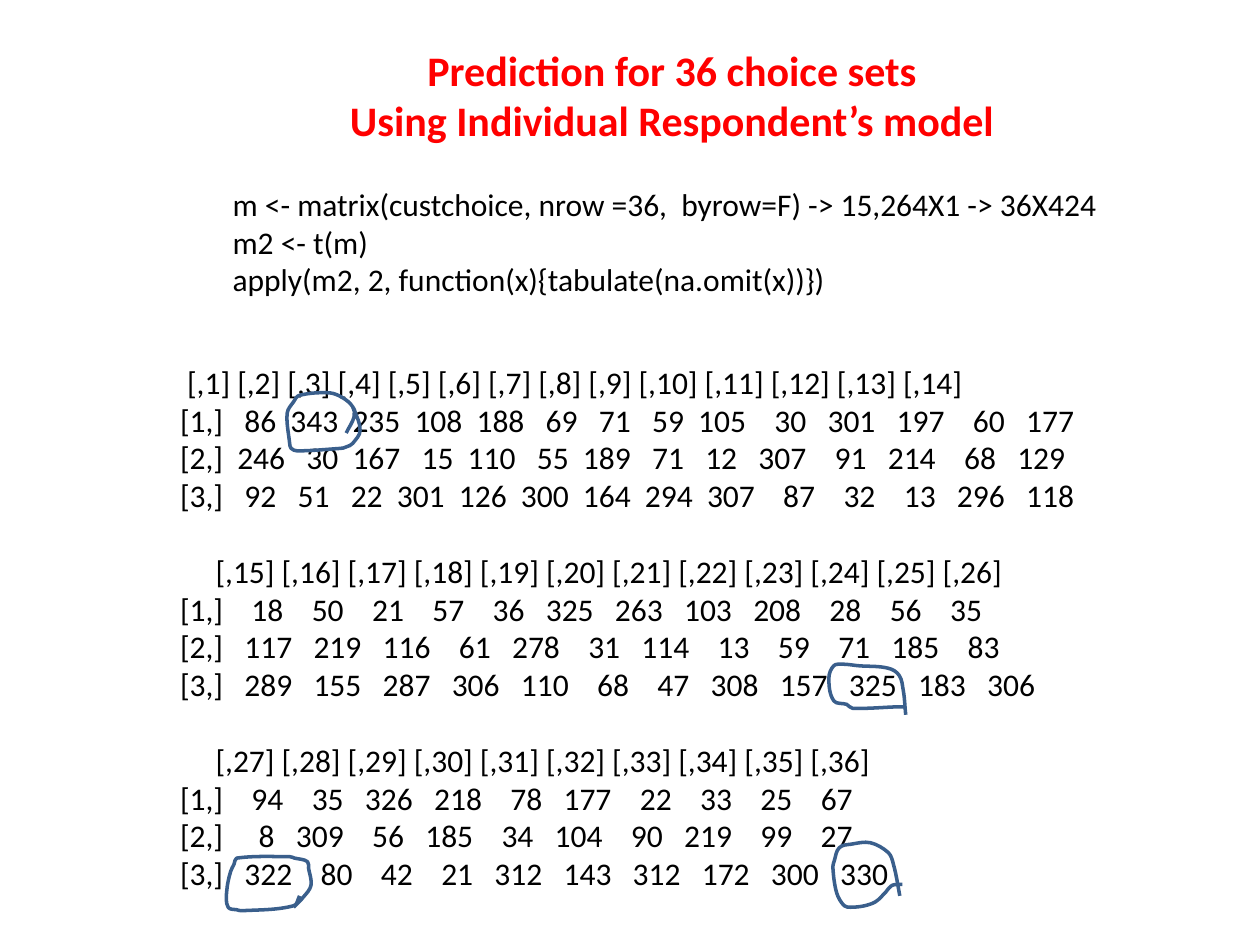
from dataclasses import dataclass
from math import hypot

from lxml import etree
from pptx import Presentation
from pptx.dml.color import RGBColor
from pptx.enum.text import MSO_ANCHOR, PP_ALIGN
from pptx.oxml.ns import qn
from pptx.util import Cm, Pt

CENTER, LEFT = PP_ALIGN.CENTER, PP_ALIGN.LEFT
TOP = MSO_ANCHOR.TOP
TITLE_ONLY = 5


@dataclass(frozen=True)
class Theme:
    font: str = "Calibri"
    title_color: RGBColor = RGBColor(0xFF, 0x00, 0x00)
    text_color: RGBColor = RGBColor(0x00, 0x00, 0x00)
    pen_color: RGBColor = RGBColor(0x3A, 0x5F, 0x8C)
    title_size: Pt = Pt(24)
    text_size: Pt = Pt(18)
    pen_width: Pt = Pt(2)
    block_gap: Pt = Pt(21.6)


THEME = Theme()
PEN_UNIT = Cm(0.01)

TITLE = ["Prediction for 36 choice sets", "Using Individual Respondent’s model"]
CODE = [
    "m <- matrix(custchoice, nrow =36,  byrow=F) -> 15,264X1 -> 36X424",
    "m2 <- t(m)",
    "apply(m2, 2, function(x){tabulate(na.omit(x))})",
]
COUNT_BLOCKS = [
    [
        " [,1] [,2] [,3] [,4] [,5] [,6] [,7] [,8] [,9] [,10] [,11] [,12] [,13] [,14]",
        "[1,]   86  343  235  108  188   69   71   59  105    30   301   197    60   177",
        "[2,]  246   30  167   15  110   55  189   71   12   307    91   214    68   129",
        "[3,]   92   51   22  301  126  300  164  294  307    87    32    13   296   118",
    ],
    [
        "     [,15] [,16] [,17] [,18] [,19] [,20] [,21] [,22] [,23] [,24] [,25] [,26]",
        "[1,]    18    50    21    57    36   325   263   103   208    28    56    35",
        "[2,]   117   219   116    61   278    31   114    13    59    71   185    83",
        "[3,]   289   155   287   306   110    68    47   308   157   325   183   306",
    ],
    [
        "     [,27] [,28] [,29] [,30] [,31] [,32] [,33] [,34] [,35] [,36]",
        "[1,]    94    35   326   218    78   177    22    33    25    67",
        "[2,]     8   309    56   185    34   104    90   219    99    27",
        "[3,]   322    80    42    21   312   143   312   172   300   330",
    ],
]
PEN_MARKS = [
    ((Cm(5.79), Cm(7.92)),
     [(119, 81), (135, 48), (132, 28), (112, 10), (86, 0), (25, 5), (13, 18), (0, 41), (5, 102),
      (8, 112), (20, 117), (107, 112), (119, 109), (132, 102), (147, 76), (135, 33), (132, 28)]),
    ((Cm(16.79), Cm(16.99)),
     [(135, 107), (122, 43), (112, 20), (76, 0), (36, 3), (13, 10), (3, 36), (0, 48), (8, 102),
      (23, 127), (36, 130), (64, 127), (86, 119), (107, 99), (119, 86), (140, 84)]),
    ((Cm(16.71), Cm(13.39)),
     [(155, 102), (150, 53), (142, 23), (119, 8), (58, 3), (28, 0), (10, 3), (0, 28), (10, 74),
      (36, 81), (48, 89), (137, 86), (150, 86)]),
    ((Cm(4.57), Cm(17.27)),
     [(135, 102), (155, 81), (170, 58), (165, 23), (163, 10), (137, 3), (127, 0), (20, 3), (15, 15),
      (8, 30), (0, 71), (3, 102), (20, 107), (30, 109), (135, 99), (147, 79)]),
]


def write_lines(shape, lines, size, color, bold=False, align=LEFT):
    frame = shape.text_frame
    frame.text = "\n".join(lines)
    frame.word_wrap = True
    frame.vertical_anchor = TOP
    for para in frame.paragraphs:
        para.alignment = align
        for span in para.runs:
            span.font.name = THEME.font
            span.font.size = size
            span.font.bold = bold
            span.font.color.rgb = color


def add_title(page, box):
    title = page.shapes.title
    title.left, title.top, title.width, title.height = box
    write_lines(title, TITLE, THEME.title_size, THEME.title_color, bold=True, align=CENTER)


def add_code(page, box):
    write_lines(page.shapes.add_textbox(*box), CODE, THEME.text_size, THEME.text_color)


def add_counts(page, box):
    counts = page.shapes.add_textbox(*box)
    lines = [line for block in COUNT_BLOCKS for line in block]
    write_lines(counts, lines, THEME.text_size, THEME.text_color)
    block_size = len(COUNT_BLOCKS[0])
    for header in counts.text_frame.paragraphs[block_size::block_size]:
        header.space_before = THEME.block_gap


def direction(start, end):
    across, down = end[0] - start[0], end[1] - start[1]
    length = hypot(across, down)
    return across / length, down / length


def round_segments(mark, points):
    padded = [points[0], *points, points[-1]]
    tangents = [direction(before, after) for before, after in zip(padded, padded[2:])]
    segments = list(mark.element.iter(qn("a:lnTo")))
    for index, segment in enumerate(segments):
        (x1, y1), (x2, y2) = points[index:index + 2]
        (u1, v1), (u2, v2) = tangents[index:index + 2]
        reach = hypot(x2 - x1, y2 - y1) / 3
        segment.tag = qn("a:cubicBezTo")
        handles = [(x1 + u1 * reach, y1 + v1 * reach), (x2 - u2 * reach, y2 - v2 * reach)]
        for position, (x, y) in enumerate(handles):
            handle = etree.Element(qn("a:pt"), x=str(round(x)), y=str(round(y)))
            segment.insert(position, handle)


def add_pen_mark(page, origin, points):
    builder = page.shapes.build_freeform(*points[0], scale=PEN_UNIT)
    builder.add_line_segments(points[1:], close=False)
    mark = builder.convert_to_shape(*origin)
    round_segments(mark, points)
    mark.shadow.inherit = False
    mark.fill.background()
    mark.line.color.rgb = THEME.pen_color
    mark.line.width = THEME.pen_width


def main():
    deck = Presentation()
    deck.slide_width, deck.slide_height = Cm(25.4), Cm(19.05)
    page = deck.slides.add_slide(deck.slide_layouts[TITLE_ONLY])
    add_title(page, (Cm(6.78), Cm(0.76), Cm(13.54), Cm(2.31)))
    add_code(page, (Cm(4.44), Cm(3.6), Cm(18.85), Cm(2.57)))
    add_counts(page, (Cm(3.38), Cm(7.19), Cm(19.05), Cm(11.02)))
    for origin, points in PEN_MARKS:
        add_pen_mark(page, origin, points)
    deck.save("out.pptx")


if __name__ == "__main__":
    main()
